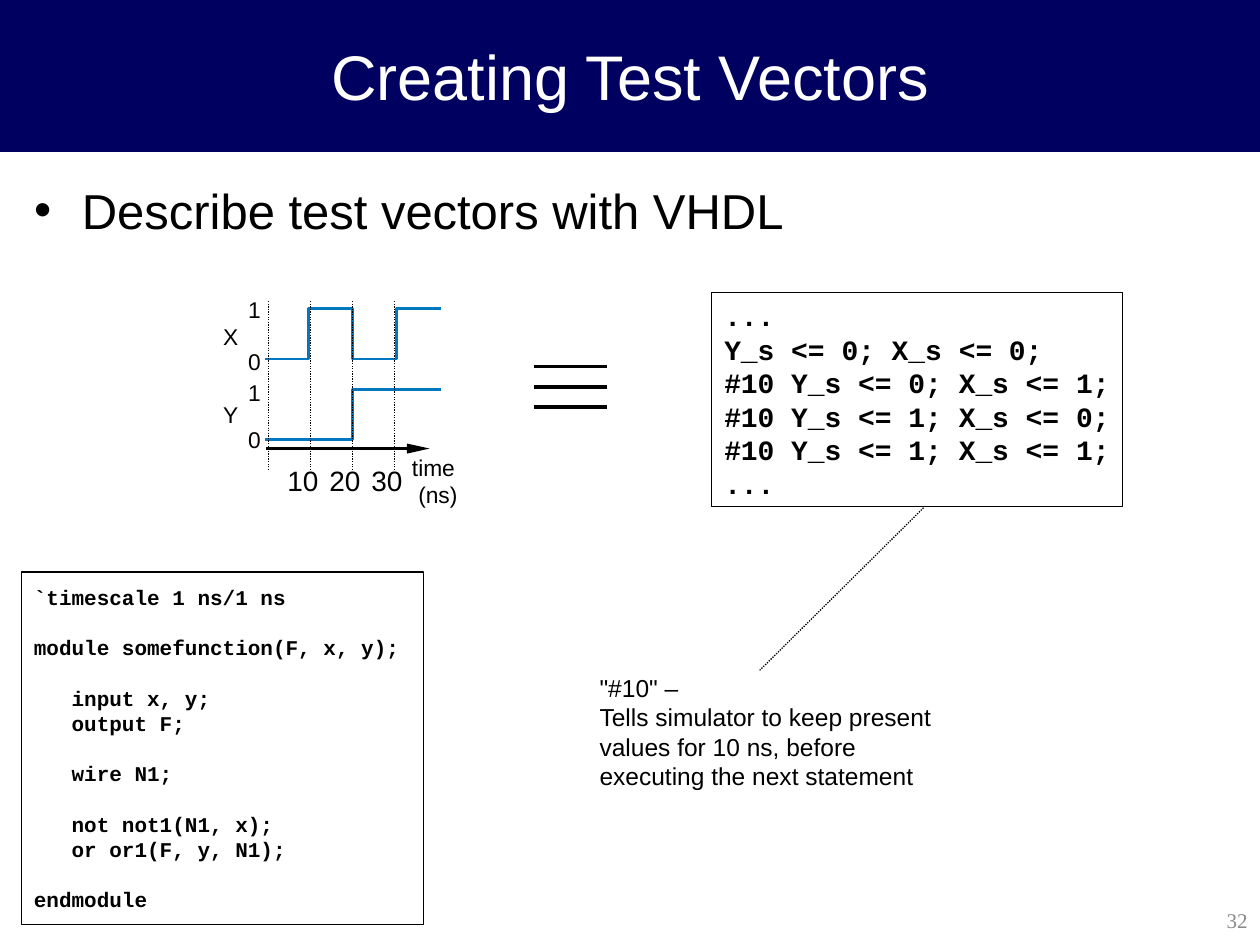
from dataclasses import dataclass

from lxml import etree
from pptx import Presentation
from pptx.dml.color import RGBColor
from pptx.enum import dml, shapes, text
from pptx.oxml import ns
from pptx.util import Inches, Pt


@dataclass(frozen=True)
class Theme:
    navy: str = "000060"
    blue: str = "0078C1"
    black: str = "000000"
    white: str = "FFFFFF"
    gray: str = "898989"
    sans: str = "Arial"
    mono: str = "Courier New"
    serif: str = "Times New Roman"
    title: int = 36
    body: int = 28
    code: int = 16
    note: int = 14
    label: int = 13
    small: int = 12
    lead: float = 1.2


THEME = Theme()

VECTORS = """...
Y_s <= 0; X_s <= 0;
#10 Y_s <= 0; X_s <= 1;
#10 Y_s <= 1; X_s <= 0;
#10 Y_s <= 1; X_s <= 1;
..."""

MODULE = """`timescale 1 ns/1 ns

module somefunction(F, x, y);

   input x, y;
   output F;

   wire N1;

   not not1(N1, x);
   or or1(F, y, N1);

endmodule"""

NOTE = """"#10" –
Tells simulator to keep present values for 10 ns, before executing the next statement"""


def color(code):
    return RGBColor.from_string(code)


def place(shape, box):
    shape.left, shape.top, shape.width, shape.height = map(Inches, box)


def write(shape, words, size, font=THEME.sans, ink=THEME.black, bold=False,
          align=text.PP_ALIGN.LEFT, anchor=text.MSO_ANCHOR.TOP,
          inset=(0.1, 0.05), wrap=True):
    """Fill a shape with lines of text; a blank line becomes space before."""
    frame = shape.text_frame
    frame.word_wrap = wrap
    frame.auto_size = text.MSO_AUTO_SIZE.NONE
    frame.vertical_anchor = anchor
    frame.margin_left = frame.margin_right = Inches(inset[0])
    frame.margin_top = frame.margin_bottom = Inches(inset[1])
    pitch = Pt(THEME.lead * size)
    para = frame.paragraphs[0]
    for b, block in enumerate(words.split("\n\n")):
        for n, line in enumerate(block.split("\n")):
            if b or n:
                para = frame.add_paragraph()
            para.text = line
            para.alignment = align
            para.line_spacing = pitch
            para.space_before = pitch if b and not n else Pt(0)
            para.font.size = Pt(size)
            para.font.name = font
            para.font.bold = bold
            para.font.color.rgb = color(ink)


def add_text(slide, box, words, size, **style):
    write(slide.shapes.add_textbox(*map(Inches, box)), words, size, **style)


def add_label(slide, left, top, words):
    add_text(slide, (left, top, 0.12, 0.22), words, THEME.label,
             inset=(0, 0), wrap=False)


def add_code(slide, box, words, size, inset):
    frame = slide.shapes.add_shape(shapes.MSO_SHAPE.RECTANGLE,
                                   *map(Inches, box))
    frame.shadow.inherit = False
    frame.fill.background()
    frame.line.color.rgb = color(THEME.black)
    frame.line.width = Pt(0.75)
    write(frame, words, size, font=THEME.mono, bold=True,
          inset=(0.1, inset), wrap=False)


def add_line(slide, start, end, width=0.75, dotted=False):
    line = slide.shapes.add_connector(
        shapes.MSO_CONNECTOR.STRAIGHT, *map(Inches, start + end))
    line.line.color.rgb = color(THEME.black)
    line.line.width = Pt(width)
    if dotted:
        line.line.dash_style = dml.MSO_LINE.ROUND_DOT
    props = line._element.find(ns.qn("p:spPr"))
    etree.SubElement(props, ns.qn("a:effectLst"))


def add_path(slide, points, closed=False):
    spots = [(Inches(x), Inches(y)) for x, y in points]
    build = slide.shapes.build_freeform(*spots[0])
    build.add_line_segments(spots[1:], close=closed)
    path = build.convert_to_shape()
    path.shadow.inherit = False
    return path


def add_wave(slide, levels, low, step):
    """Draw a signal that holds each level for one step."""
    points = []
    for i, level in enumerate(levels):
        left, y = 2.1 + i * step, low - 0.4 * level
        points += [(left, y), (left + step, y)]
    wave = add_path(slide, points)
    wave.fill.background()
    wave.line.color.rgb = color(THEME.blue)
    wave.line.width = Pt(1.62)


def add_chart(slide):
    """Draw the timing diagram of X and Y."""
    for left, top, words in ((1.97, 2.35, "1"), (1.97, 2.76, "0"),
                             (1.77, 2.56, "X"), (1.97, 3.01, "1"),
                             (1.97, 3.38, "0"), (1.77, 3.18, "Y")):
        add_label(slide, left, top, words)
    add_wave(slide, (0, 1), 3.49, 0.7)
    add_wave(slide, (0, 1, 0, 1), 2.85, 0.35)
    add_text(slide, (3.27, 3.6, 0.5, 0.43), "time\n (ns)", THEME.label,
             inset=(0, 0))
    add_line(slide, (2.11, 3.56), (3.36, 3.56), 1.62)
    tip = add_path(slide, [(3.41, 3.56), (3.23, 3.52), (3.23, 3.6)], True)
    tip.fill.solid()
    tip.fill.fore_color.rgb = color(THEME.black)
    tip.line.fill.background()
    for i in range(4):
        x = 2.13 + i / 3
        add_line(slide, (x, 2.39), (x, 3.73), dotted=True)
        if i:
            add_text(slide, (x - 0.28, 3.63, 0.44, 0.37), str(10 * i),
                     THEME.code, wrap=False)


def set_title(slide, words):
    title = slide.shapes.title
    place(title, (0, 0, 10, 1.2))
    title.fill.solid()
    title.fill.fore_color.rgb = color(THEME.navy)
    title.line.color.rgb = color(THEME.navy)
    title.line.width = Pt(0.75)
    write(title, words, THEME.title, ink=THEME.white,
          align=text.PP_ALIGN.CENTER, anchor=text.MSO_ANCHOR.MIDDLE)


def set_body(slide, words):
    body = slide.placeholders[1]
    place(body, (0.17, 1.38, 9.66, 5.72))
    write(body, words, THEME.body)
    for para in body.text_frame.paragraphs:
        props = para._p.get_or_add_pPr()
        props.set("marL", str(Inches(0.38)))
        props.set("indent", str(Inches(-0.38)))


def main():
    deck = Presentation()
    deck.slide_width, deck.slide_height = Inches(10), Inches(7.5)
    slide = deck.slides.add_slide(deck.slide_layouts[1])
    set_title(slide, "Creating Test Vectors")
    set_body(slide, "Describe test vectors with VHDL")
    add_text(slide, (7.88, 7.1, 2.12, 0.4), "32", THEME.small,
             font=THEME.serif, ink=THEME.gray, align=text.PP_ALIGN.RIGHT,
             anchor=text.MSO_ANCHOR.MIDDLE)
    add_chart(slide)
    for i in range(3):
        y = 2.91 + 0.16 * i
        add_line(slide, (4.24, y), (4.82, y), 2)
    add_code(slide, (5.65, 2.32, 3.26, 1.7), VECTORS, THEME.code, 0.05)
    add_text(slide, (4.66, 5.29, 2.92, 1.04), NOTE, THEME.note)
    add_line(slide, (7.33, 4.03), (6.03, 5.32), dotted=True)
    add_code(slide, (0.17, 4.54, 3.19, 2.8), MODULE, THEME.small, 0.1)
    deck.save("out.pptx")


if __name__ == "__main__":
    main()
